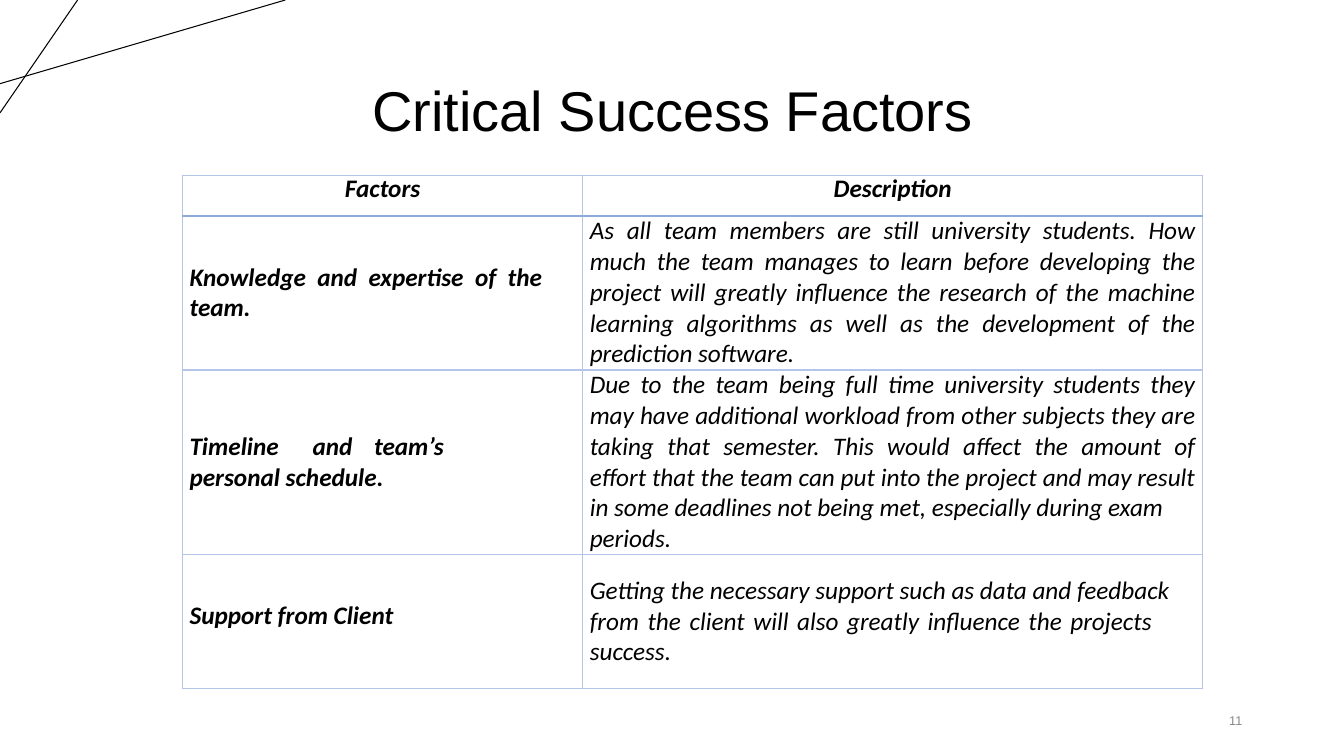
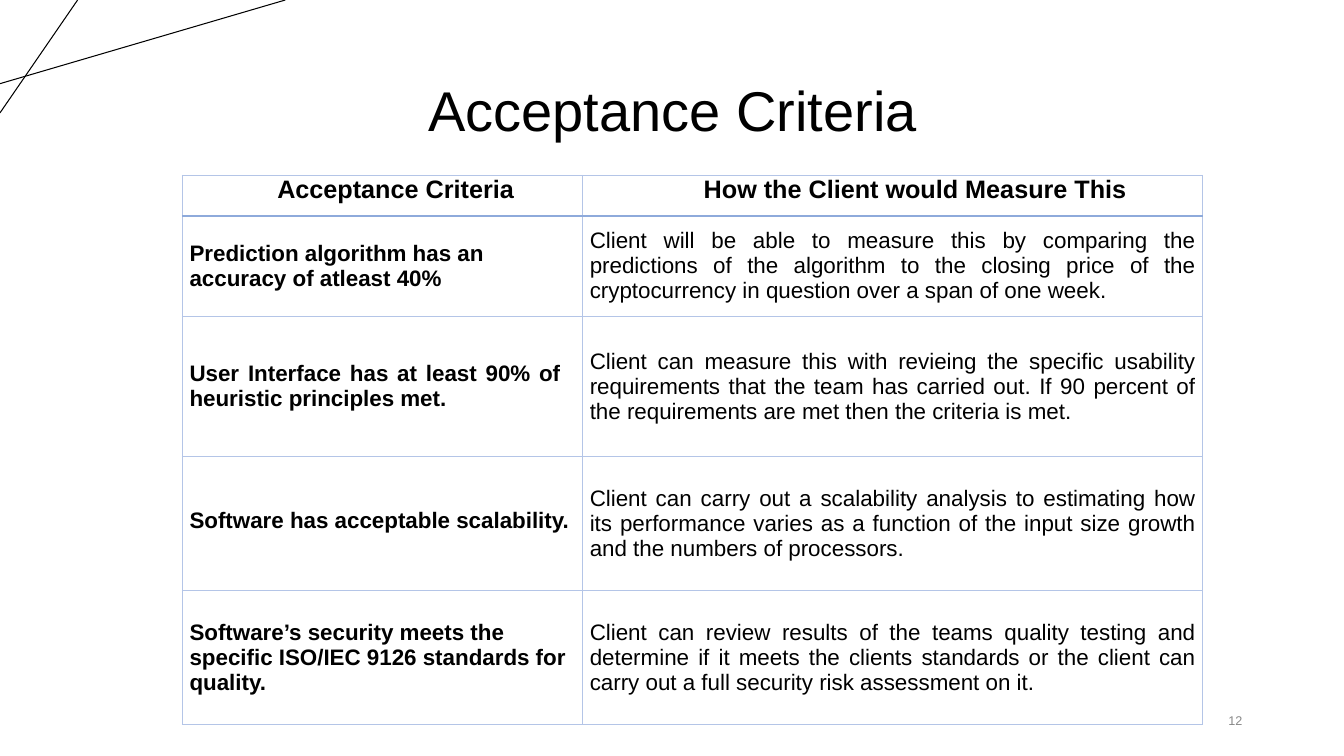
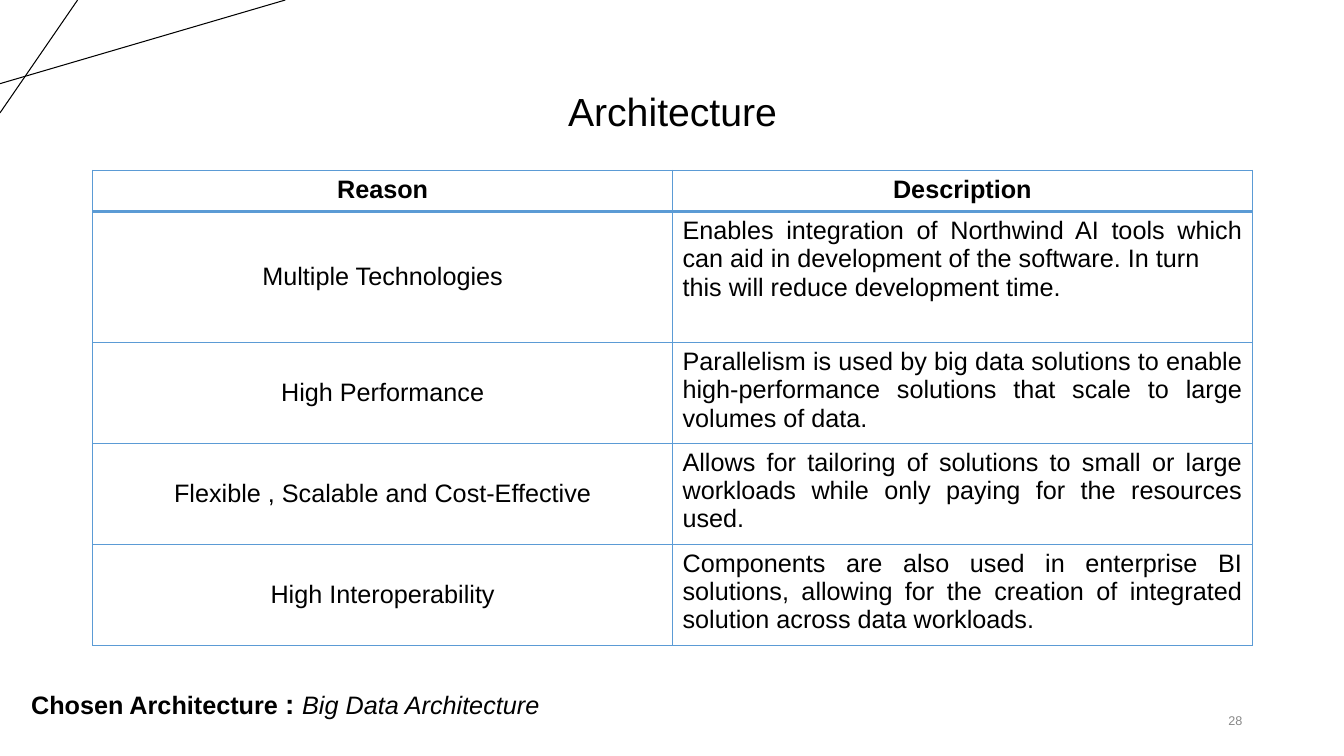
"""Build three project slides, each with a title and a two-column table."""
from dataclasses import dataclass

from lxml.etree import SubElement as Sub
from pptx import Presentation
from pptx.dml.color import RGBColor as Rgb
from pptx.enum.text import MSO_ANCHOR as Anchor, PP_ALIGN as Align
from pptx.oxml.ns import qn
from pptx.slide import Slide
from pptx.table import _Cell as Cell
from pptx.text.text import _Paragraph as Par
from pptx.util import Inches, Pt

LEFT, MID, FULL = Align.LEFT, Align.CENTER, Align.JUSTIFY


@dataclass(frozen=True)
class Theme:
    ink: str = "000000"
    gray: str = "888888"
    pale: str = "B4C5E7"
    rule: str = "8EAADB"
    blue: str = "5B9BD5"
    sans: str = "Arial"
    soft: str = "Calibri"
    title: int = 40
    small: int = 28
    mark: int = 20
    head: int = 18
    body: int = 16
    foot: int = 9


@dataclass(frozen=True)
class Style:
    font: str
    size: int
    bold: bool = False
    ital: bool = False
    tint: str = Theme.ink


@dataclass(frozen=True)
class Text:
    words: str
    align: Align = FULL
    left: float = 0.07
    right: float = 0.07
    pitch: float = 0
    stops: tuple[float, ...] = ()


@dataclass(frozen=True)
class Grid:
    left: float
    top: float
    cols: tuple[float, ...]
    rows: tuple[float, ...]
    head: Style
    key: Style
    body: Style
    edge: str
    rule: str
    thick: float
    pad: tuple[float, float]
    anchor: Anchor
    cells: list[tuple[tuple[Text, ...], ...]]


THEME = Theme()
LINES = (((0, 0.83), (2.83, 0)), ((0.77, 0), (0, 1.12)))


def add_run(par: Par, words: str, style: Style) -> None:
    """Add one styled run to a paragraph."""
    run = par.add_run()
    run.text = words
    font = run.font
    font.name, font.size = style.font, Pt(style.size)
    font.bold, font.italic = style.bold, style.ital
    font.color.rgb = Rgb.from_string(style.tint)


def add_text(par: Par, text: Text, style: Style) -> None:
    """Set a paragraph's layout and add its text."""
    par.alignment = text.align
    if text.pitch:
        par.line_spacing = Pt(text.pitch)
    props = par._p.get_or_add_pPr()
    props.set("marL", str(Inches(text.left)))
    props.set("marR", str(Inches(text.right)))
    if text.stops:
        tabs = Sub(props, qn("a:tabLst"))
        for stop in text.stops:
            Sub(tabs, qn("a:tab"), pos=str(Inches(stop)), algn="l")
    add_run(par, text.words, style)


def add_edge(cell: Cell, side: str, tint: str, width: float) -> None:
    """Draw one border of a cell."""
    line = Sub(cell._tc.get_or_add_tcPr(), qn(f"a:ln{side}"), w=str(Pt(width)))
    fill = Sub(line, qn("a:solidFill"))
    Sub(fill, qn("a:srgbClr"), val=tint)


def fill_cell(cell: Cell, row: int, col: int, grid: Grid) -> None:
    """Format one cell and write its paragraphs."""
    for side in "LRTB":
        ruled = (side, row) in (("B", 0), ("T", 1))
        add_edge(cell, side, grid.rule if ruled else grid.edge, grid.thick if ruled else 1)
    cell.fill.background()
    wide, high = grid.pad
    cell.margin_left = cell.margin_right = Inches(wide)
    cell.margin_top = cell.margin_bottom = Inches(high)
    cell.vertical_anchor = Anchor.MIDDLE if row and not col else grid.anchor
    style = grid.head if not row else grid.body if col else grid.key
    frame = cell.text_frame
    for spot, text in enumerate(grid.cells[row][col]):
        add_text(frame.add_paragraph() if spot else frame.paragraphs[0], text, style)


def add_grid(slide: Slide, grid: Grid) -> None:
    """Add a table and fill its cells."""
    table = slide.shapes.add_table(
        len(grid.rows), len(grid.cols), Inches(grid.left), Inches(grid.top),
        Inches(sum(grid.cols)), Inches(sum(grid.rows))).table
    table.horz_banding = table.first_row = False
    for col, width in zip(table.columns, grid.cols):
        col.width = Inches(width)
    for row, height in zip(table.rows, grid.rows):
        row.height = Inches(height)
    for row in range(len(grid.rows)):
        for col in range(len(grid.cols)):
            fill_cell(table.cell(row, col), row, col, grid)


def add_box(slide: Slide, left: float, top: float, width: float, height: float) -> Par:
    """Add a wrapped, centred text box and return its paragraph."""
    frame = slide.shapes.add_textbox(
        Inches(left), Inches(top), Inches(width), Inches(height)).text_frame
    frame.word_wrap = True
    frame.vertical_anchor = Anchor.MIDDLE
    return frame.paragraphs[0]


def add_slide(deck: Presentation, name: str, size: int, page: int, grid: Grid) -> Slide:
    """Add a slide with corner lines, title, page number and table."""
    slide = deck.slides.add_slide(deck.slide_layouts[5])
    for start, end in LINES:
        line = slide.shapes.add_connector(1, *map(Inches, start + end))
        line.line.color.rgb = Rgb.from_string(THEME.ink)
        line.line.width = Pt(0.75)
        Sub(line._element.spPr, qn("a:effectLst"))
    title = slide.shapes.title
    title.left, title.top = Inches(0.92), Inches(0.4)
    title.width, title.height = Inches(11.5), Inches(1.45)
    title.text_frame.vertical_anchor = Anchor.MIDDLE
    par = title.text_frame.paragraphs[0]
    par.alignment, par.line_spacing = MID, 0.9
    add_run(par, name, Style(THEME.sans, size))
    par = add_box(slide, 9.42, 6.95, 3, 0.4)
    par.alignment = Align.RIGHT
    add_run(par, str(page), Style(THEME.sans, THEME.foot, tint=THEME.gray))
    add_grid(slide, grid)
    return slide


def pale_grid(rows: tuple[float, ...], head: Style, key: Style, body: Style,
              cells: list[tuple[tuple[Text, ...], ...]]) -> Grid:
    """Return a grid in the pale style of the first two slides."""
    return Grid(1.81, 1.74, (3.97, 6.15), rows, head, key, body, THEME.pale,
                THEME.rule, 1.5, (0, 0), Anchor.MIDDLE, cells)


def factors() -> Grid:
    """Return the table of success factors."""
    bold = Style(THEME.soft, THEME.head, True, True)
    cells = [
        ((Text("Factors", MID, 0, 0, 12.4),), (Text("Description", MID, 0, 0, 12.4),)),
        ((Text("Knowledge and expertise of the team.", right=0.4),),
         (Text("As all team members are still university students. How much the team "
               "manages to learn before developing the project will greatly influence the "
               "research of the machine learning algorithms as well as the development of "
               "the prediction software."),)),
        ((Text("Timeline\tand\tteam’s personal schedule.", LEFT, right=1.3,
               stops=(0.8, 1.22, 1.83)),),
         (Text("Due to the team being full time university students they may have "
               "additional workload from other subjects they are taking that semester. "
               "This would affect the amount of effort that the team can put into the "
               "project and may result in some deadlines not being met, especially during "
               "exam"), Text("periods."))),
        ((Text("Support from Client", LEFT, pitch=13.4),),
         (Text("Getting the necessary support such as data and feedback"),
          Text("from the client will also greatly influence the projects success.",
               right=0.5))),
    ]
    return pale_grid((0.4, 1.53, 1.83, 1.33), bold, bold,
                     Style(THEME.soft, THEME.head, ital=True), cells)


def criteria() -> Grid:
    """Return the table of acceptance criteria."""
    cells = [
        ((Text("Acceptance Criteria", LEFT, 0.94, 0, 12.4),),
         (Text("How the Client would Measure This", LEFT, 1.2, 0, 12.4),)),
        ((Text("Prediction algorithm has an accuracy of atleast 40%", LEFT, right=0.3),),
         (Text("Client will be able to measure this by comparing the predictions of the "
               "algorithm to the closing price of the cryptocurrency in question over a "
               "span of one week."),)),
        ((Text("User Interface has at least 90% of heuristic principles met.", right=0.22),),
         (Text("Client can measure this with revieing the specific usability requirements "
               "that the team has carried out. If 90 percent of the requirements are met "
               "then the criteria is met."),)),
        ((Text("Software has acceptable scalability.", LEFT, right=0, pitch=13.4),),
         (Text("Client can carry out a scalability analysis to estimating how its "
               "performance varies as a function of the input size growth and the numbers "
               "of processors."),)),
        ((Text("Software’s security meets the specific ISO/IEC 9126 standards for quality.",
               LEFT, right=0.15),),
         (Text("Client can review results of the teams quality testing and determine if it "
               "meets the clients standards or the client can carry out a full security "
               "risk assessment on it."),)),
    ]
    return pale_grid((0.4, 1, 1.39, 1.33, 1.33), Style(THEME.sans, THEME.head, True),
                     Style(THEME.sans, THEME.body, True), Style(THEME.sans, THEME.body), cells)


def reasons() -> Grid:
    """Return the table of reasons for the architecture."""
    pairs = [
        ("Multiple Technologies",
         ("Enables integration of Northwind AI tools which can aid in development of the "
          "software. In turn", "this will reduce development time.")),
        ("High Performance",
         ("Parallelism is used by big data solutions to enable high-performance solutions "
          "that scale to large volumes of data.",)),
        ("Flexible , Scalable and Cost-Effective",
         ("Allows for tailoring of solutions to small or large workloads while only paying "
          "for the resources used.",)),
        ("High Interoperability",
         ("Components are also used in enterprise BI solutions, allowing for the creation of "
          "integrated solution across data workloads.",)),
    ]
    cells = [tuple((Text(word, MID, 0, 0),) for word in ("Reason", "Description"))]
    cells += [((Text(key, MID, 0, 0),), tuple(Text(part, FULL, 0, 0) for part in parts))
              for key, parts in pairs]
    plain = Style(THEME.sans, THEME.head)
    return Grid(0.92, 1.69, (5.75, 5.75), (0.41, 1.3, 1, 1, 1),
                Style(THEME.sans, THEME.head, True), plain, plain, THEME.blue, THEME.blue,
                2, (0.1, 0.05), Anchor.TOP, cells)


def main() -> None:
    """Build and save the deck."""
    deck = Presentation()
    deck.slide_width, deck.slide_height = Inches(13.33), Inches(7.5)
    add_slide(deck, "Critical Success Factors", THEME.title, 11, factors())
    add_slide(deck, "Acceptance Criteria", THEME.title, 12, criteria())
    slide = add_slide(deck, "Architecture", THEME.small, 28, reasons())
    par = add_box(slide, 0.21, 6.75, 9.38, 0.45)
    add_run(par, "Chosen Architecture ", Style(THEME.sans, THEME.head, True))
    add_run(par, ": ", Style(THEME.sans, THEME.mark, True))
    add_run(par, "Big Data Architecture", Style(THEME.sans, THEME.head, ital=True))
    deck.save("out.pptx")


if __name__ == "__main__":
    main()
